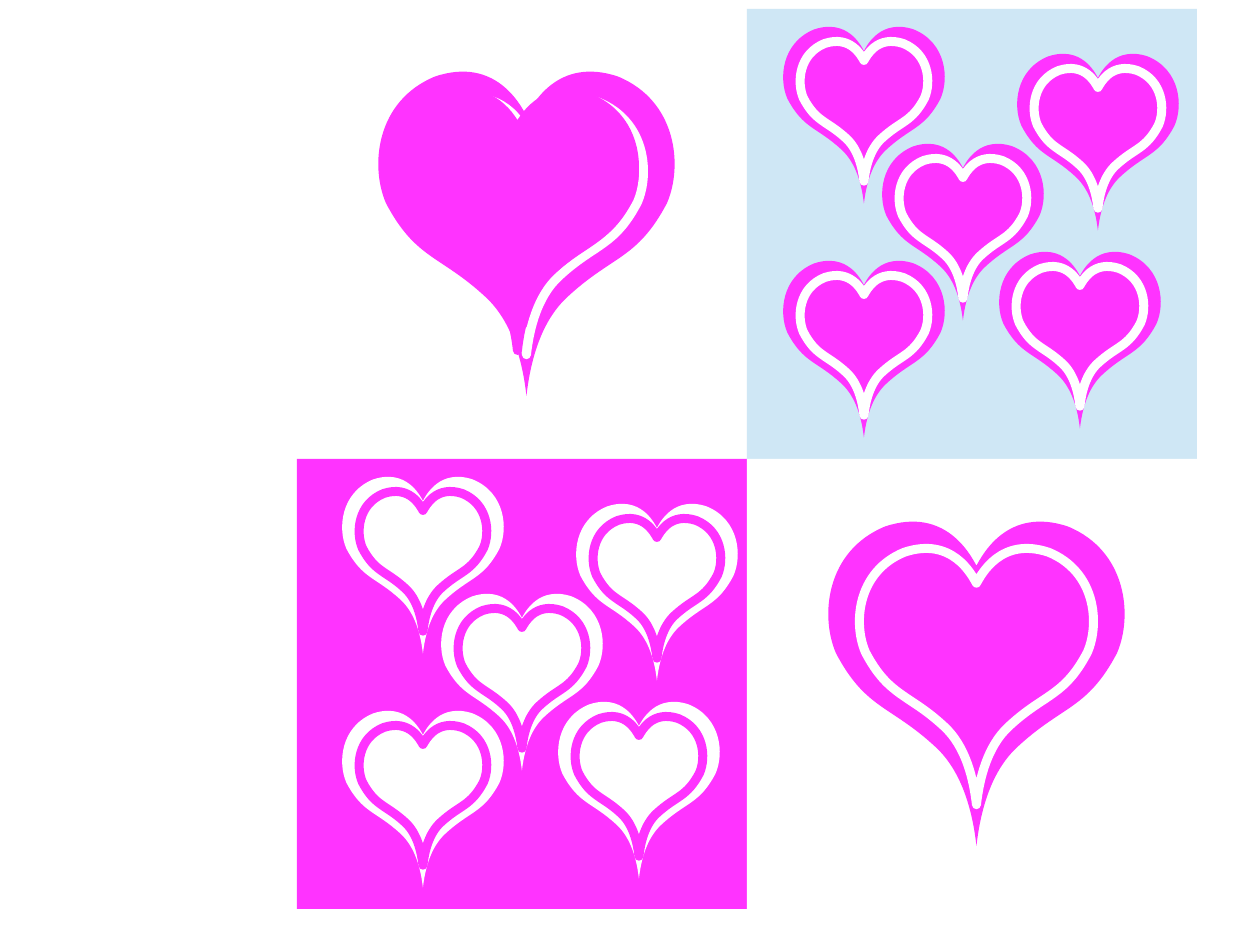
"""Build a slide of hearts on a two by two board of panels."""
from lxml import etree
from pptx import Presentation
from pptx.dml import color as dml
from pptx.enum import shapes as kinds
from pptx.oxml import ns
from pptx.util import Cm, Pt

PINK, WHITE, SKY = "FF33FF", "FFFFFF", "CFE7F5"
SIDE = 10
LEFT, RIGHT, TOP, LOW = 6.6, 16.6, 0.2, 10.2
WIDE, HIGH = 660, 720
HALF = [
    (0, 720),
    (8, 648), (30, 556), (91, 500),
    (191, 407), (246, 417), (312, 292),
    (348, 210), (335, 64), (203, 10),
    (68, -35), (13, 74), (0, 97),
]
SPOTS = [(2.6, 0.4), (4.8, 3), (7.8, 1), (2.6, 5.6), (7.4, 5.4)]
BIG, SMALL = 6.6, 3.6
INNER, DROP = 0.79, 0.09


def paint(item, tone):
    """Set a fill to a hex colour."""
    item.solid()
    item.fore_color.rgb = dml.RGBColor.from_string(tone)


def panel(slide, x, y, tone):
    """Add a square panel."""
    box = slide.shapes.add_shape(
        kinds.MSO_SHAPE.RECTANGLE, Cm(x), Cm(y), Cm(SIDE), Cm(SIDE))
    box.shadow.inherit = False
    paint(box.fill, tone)
    box.line.fill.background()


def add(node, tag, **keys):
    """Append a drawing element to a node."""
    return etree.SubElement(node, ns.qn("a:" + tag), **keys)


def trace(form):
    """Replace the outline of a freeform by the curves of a heart."""
    path = form.element.find(".//" + ns.qn("a:path"))
    for node in list(path):
        path.remove(node)
    path.set("w", str(WIDE))
    path.set("h", str(HIGH))
    dots = [(-x, y) for x, y in HALF] + HALF[-2::-1]
    part = add(path, "moveTo")
    for n, (x, y) in enumerate(dots):
        if n % 3 == 1:
            part = add(path, "cubicBezTo")
        add(part, "pt", x=str(WIDE // 2 + x), y=str(y))
    add(path, "close")


def heart(slide, x, y, wide, tone, edge=None):
    """Add one heart by its axis, top and width."""
    left, right = Cm(x - wide / 2), Cm(x + wide / 2)
    top, low = Cm(y), Cm(y + wide * HIGH / WIDE)
    pen = slide.shapes.build_freeform(left, top)
    pen.add_line_segments([(right, top), (right, low), (left, low)])
    form = pen.convert_to_shape()
    trace(form)
    form.shadow.inherit = False
    paint(form.fill, tone)
    if edge:
        paint(form.line.fill, edge)
        form.line.width = Pt(5.67)
        add(form.element.spPr.find(ns.qn("a:ln")), "round")
    else:
        form.line.fill.background()
    return form


def twin(slide, x, y, wide, tone, edge):
    """Add a grouped heart with an outlined heart inside."""
    outer = heart(slide, x, y, wide, tone)
    inner = heart(slide, x, y + DROP * wide, INNER * wide, tone, edge)
    slide.shapes.add_group_shape([outer, inner])


def main():
    """Draw the board and save it."""
    deck = Presentation()
    deck.slide_width, deck.slide_height = Cm(28), Cm(21)
    slide = deck.slides.add_slide(deck.slide_layouts[6])
    panel(slide, RIGHT, TOP, SKY)
    panel(slide, LEFT, LOW, PINK)
    panel(slide, RIGHT, LOW, WHITE)
    for x, y in [(LEFT, TOP), (RIGHT, LOW)]:
        twin(slide, x + 5.1, y + 1.4, BIG, PINK, WHITE)
    for x, y, tone, edge in [(RIGHT, TOP, PINK, WHITE),
                             (LEFT + 0.2, LOW, WHITE, PINK)]:
        for h, v in SPOTS:
            twin(slide, x + h, y + v, SMALL, tone, edge)
    heart(slide, LEFT + 4.9, TOP + 1.9, INNER * BIG, PINK, PINK)
    deck.save("out.pptx")


if __name__ == "__main__":
    main()
